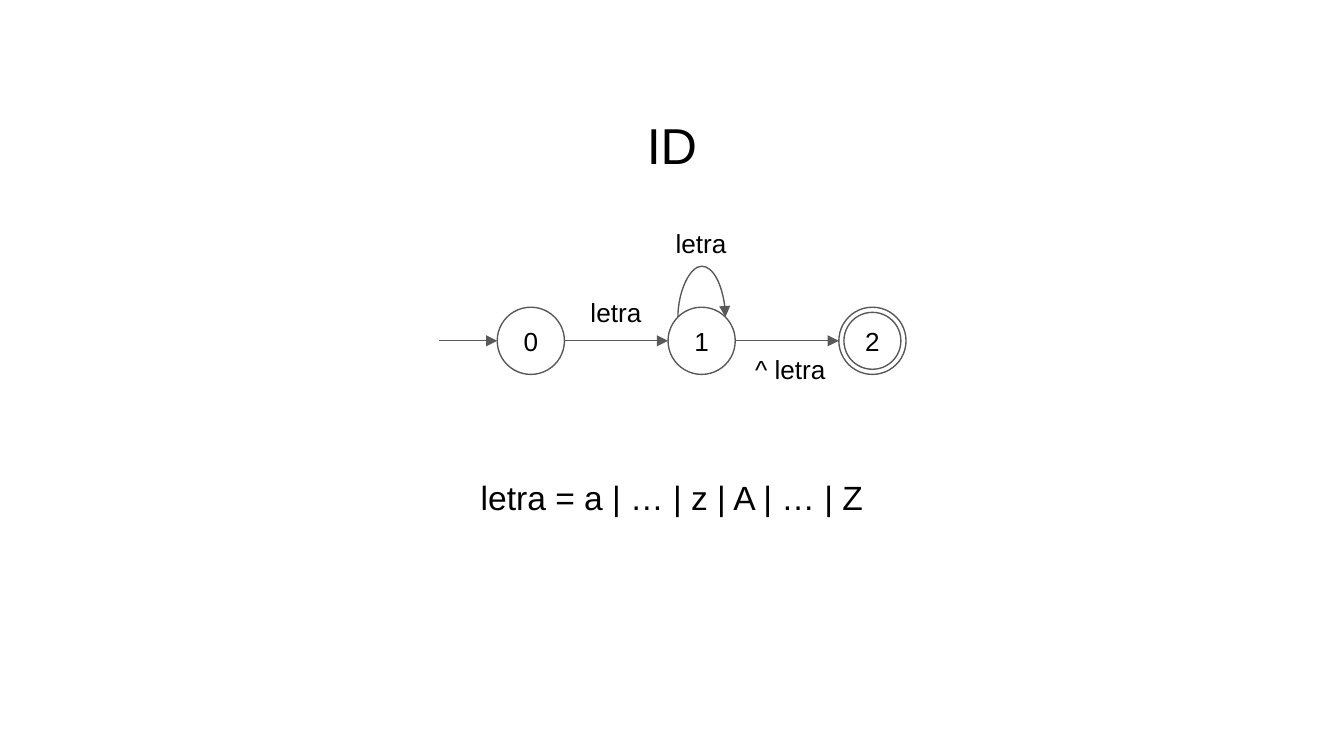
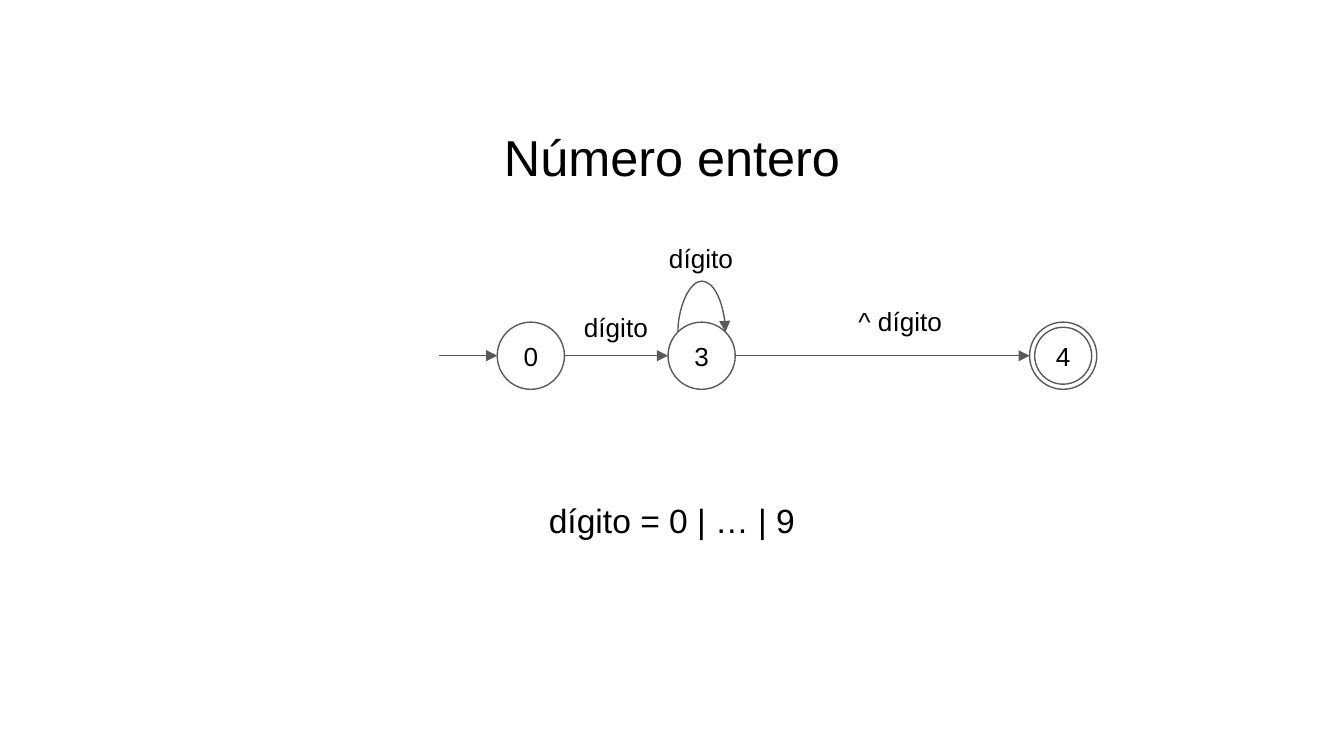
from dataclasses import dataclass

from lxml.etree import SubElement
from pptx import Presentation
from pptx.dml.color import RGBColor
from pptx.enum.shapes import MSO_CONNECTOR, MSO_SHAPE
from pptx.enum.text import MSO_ANCHOR, MSO_AUTO_SIZE, PP_ALIGN
from pptx.oxml.ns import qn
from pptx.shapes.autoshape import Shape
from pptx.shapes.connector import Connector
from pptx.slide import Slide
from pptx.text.text import TextFrame
from pptx.util import Pt

# Shared style and layout, in points
COLORS = {"background": "FFFFFF", "text": "000000", "line": "595959"}
FONT = "Arial"
TITLE_SIZE, FORMULA_SIZE, LABEL_SIZE = 27, 18, 14
SLIDE_WIDTH, SLIDE_HEIGHT = 720, 405
INSET = 7.2
LINE_WIDTH = 0.75
STATE_SIZE = 36
STATE_STEP = 91.5
FIRST_STATE = 266.4
SECOND_STATE = FIRST_STATE + STATE_STEP
ENTRY_LEFT = 235.2
RING = 0.076
LABEL_WIDTH, LABEL_HEIGHT = 50, 31.7
FORMULA_WIDTH = 412.6
LOOP_HEIGHT = 24
LOOP_THICKNESS = 0.05
TOP_LEFT_SITE, TOP_RIGHT_SITE = 1, 7


@dataclass(frozen=True)
class Box:
    left: float
    top: float
    width: float
    height: float


@dataclass(frozen=True)
class Automaton:
    title: str
    title_top: float
    title_width: float
    symbol: str
    states: tuple[str, str, str]
    axis: float
    final_left: float
    exit_label: Box
    formula: str
    formula_top: float


AUTOMATA = [
    Automaton("ID", 54, 155, "letra", ("0", "1", "2"), 182.6,
              FIRST_STATE + 2 * STATE_STEP, Box(393.2, 182.2, 60.5, LABEL_HEIGHT),
              "letra = a | … | z | A | … | Z", 248.4),
    Automaton("Número entero", 60.5, 248.4, "dígito", ("0", "3", "4"), 190.6,
              551.6, Box(388, 156.4, 188.6, LABEL_HEIGHT),
              "dígito = 0 | … | 9", 260.4),
]


def color(name: str) -> RGBColor:
    return RGBColor.from_string(COLORS[name])


def write(frame: TextFrame, text: str, size: float) -> None:
    frame.margin_left = frame.margin_right = Pt(INSET)
    frame.margin_top = frame.margin_bottom = Pt(INSET)
    frame.word_wrap = True
    paragraph = frame.paragraphs[0]
    paragraph.text = text
    paragraph.alignment = PP_ALIGN.CENTER
    paragraph.font.name = FONT
    paragraph.font.size = Pt(size)
    paragraph.font.color.rgb = color("text")


def add_text(slide: Slide, box: Box, text: str, size: float = LABEL_SIZE) -> None:
    shape = slide.shapes.add_textbox(Pt(box.left), Pt(box.top), Pt(box.width), Pt(box.height))
    write(shape.text_frame, text, size)
    shape.text_frame.auto_size = MSO_AUTO_SIZE.SHAPE_TO_FIT_TEXT


def add_centered_text(slide: Slide, top: float, width: float, height: float,
                      text: str, size: float) -> None:
    add_text(slide, Box((SLIDE_WIDTH - width) / 2, top, width, height), text, size)


def add_state(slide: Slide, left: float, axis: float, name: str, final: bool = False) -> Shape:
    kind = MSO_SHAPE.DONUT if final else MSO_SHAPE.OVAL
    shape = slide.shapes.add_shape(kind, Pt(left), Pt(axis - STATE_SIZE / 2),
                                   Pt(STATE_SIZE), Pt(STATE_SIZE))
    if final:
        shape.adjustments[0] = RING
    shape.shadow.inherit = False
    shape.fill.background()
    shape.line.color.rgb = color("line")
    shape.line.width = Pt(LINE_WIDTH)
    write(shape.text_frame, name, LABEL_SIZE)
    shape.text_frame.vertical_anchor = MSO_ANCHOR.MIDDLE
    return shape


def style_arrow(connector: Connector) -> None:
    connector.line.color.rgb = color("line")
    connector.line.width = Pt(LINE_WIDTH)
    line = connector.line._get_or_add_ln()
    SubElement(line, qn("a:tailEnd"), type="triangle", w="med", len="med")
    SubElement(connector._element.spPr, qn("a:effectLst"))


def add_arrow(slide: Slide, start: float, end: float, axis: float) -> None:
    style_arrow(slide.shapes.add_connector(
        MSO_CONNECTOR.STRAIGHT, Pt(start), Pt(axis), Pt(end), Pt(axis)))


def add_loop(slide: Slide, state: Shape, left: float, axis: float) -> None:
    # A vertical curve turned to rise from the upper left to the upper right of the state
    span = STATE_SIZE / 2 ** 0.5
    center = left + STATE_SIZE / 2
    connector = slide.shapes.add_connector(
        MSO_CONNECTOR.CURVE, Pt(center), Pt(axis - span), Pt(center), Pt(axis))
    connector.width = Pt(LOOP_THICKNESS)
    properties = connector._element.spPr
    transform = properties.find(qn("a:xfrm"))
    transform.set("rot", str(270 * 60000))
    transform.set("flipH", "1")
    guides = properties.find(qn("a:prstGeom")).find(qn("a:avLst"))
    bend = round(-LOOP_HEIGHT / LOOP_THICKNESS * 100000)
    SubElement(guides, qn("a:gd"), name="adj1", fmla=f"val {bend}")
    ends = connector._element.nvCxnSpPr.cNvCxnSpPr
    for tag, site in (("a:stCxn", TOP_LEFT_SITE), ("a:endCxn", TOP_RIGHT_SITE)):
        SubElement(ends, qn(tag), id=str(state.shape_id), idx=str(site))
    style_arrow(connector)


def build_slide(presentation: Presentation, automaton: Automaton) -> None:
    slide = presentation.slides.add_slide(presentation.slide_layouts[6])
    slide.background.fill.solid()
    slide.background.fill.fore_color.rgb = color("background")
    axis = automaton.axis
    first, second, final = automaton.states

    # Title and symbol definition
    add_centered_text(slide, automaton.title_top, automaton.title_width, 47.5,
                      automaton.title, TITLE_SIZE)
    add_centered_text(slide, automaton.formula_top, FORMULA_WIDTH, 36,
                      automaton.formula, FORMULA_SIZE)

    # States
    add_state(slide, FIRST_STATE, axis, first)
    repeating = add_state(slide, SECOND_STATE, axis, second)
    add_state(slide, automaton.final_left, axis, final, final=True)

    # Transitions
    add_arrow(slide, ENTRY_LEFT, FIRST_STATE, axis)
    add_arrow(slide, FIRST_STATE + STATE_SIZE, SECOND_STATE, axis)
    add_arrow(slide, SECOND_STATE + STATE_SIZE, automaton.final_left, axis)
    add_loop(slide, repeating, SECOND_STATE, axis)

    # Transition labels
    for left, rise in ((305, 31), (350.6, 68)):
        add_text(slide, Box(left, axis - rise, LABEL_WIDTH, LABEL_HEIGHT), automaton.symbol)
    add_text(slide, automaton.exit_label, f"^ {automaton.symbol}")


def main() -> None:
    presentation = Presentation()
    presentation.slide_width = Pt(SLIDE_WIDTH)
    presentation.slide_height = Pt(SLIDE_HEIGHT)
    for automaton in AUTOMATA:
        build_slide(presentation, automaton)
    presentation.save("out.pptx")


if __name__ == "__main__":
    main()
